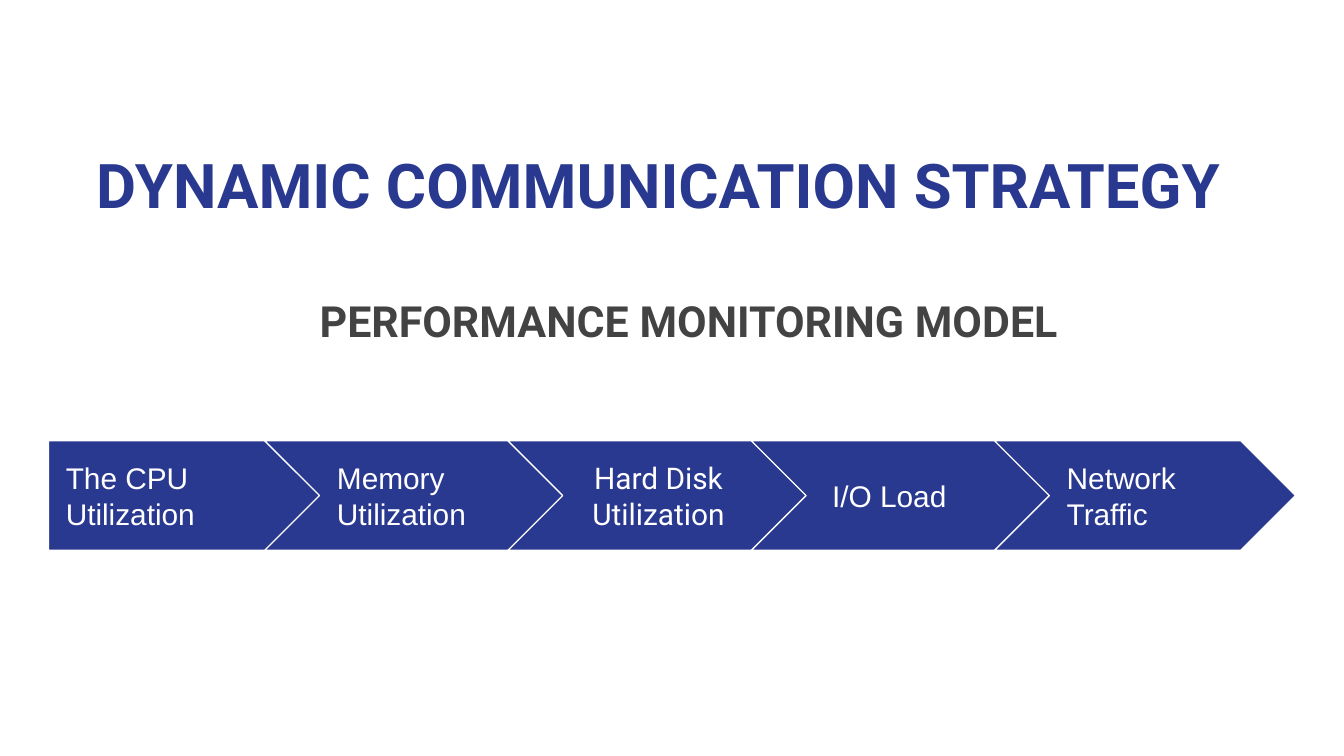
import dataclasses

import pptx
import pptx.dml.color
import pptx.enum.shapes
import pptx.enum.text
import pptx.slide
import pptx.text.text
import pptx.util

EMU_PER_PX = 4572  # 200 px to the inch
SLIDE_WIDTH, SLIDE_HEIGHT = 2000, 1125
BLUE, GRAY, WHITE = "2A3990", "434343", "FFFFFF"
LEFT = pptx.enum.text.PP_ALIGN.LEFT
CENTER = pptx.enum.text.PP_ALIGN.CENTER
PENTAGON = pptx.enum.shapes.MSO_SHAPE.PENTAGON
CHEVRON = pptx.enum.shapes.MSO_SHAPE.CHEVRON

STEP_TOP, STEP_HEIGHT = 656, 163
FIRST_LEFT, FIRST_WIDTH = 72, 410
CHEVRON_LEFT, CHEVRON_WIDTH, CHEVRON_PITCH = 394, 448, 362
TEXT_INSET, STEP_INSET = 20, 26


@dataclasses.dataclass(frozen=True)
class Step:
    label: str
    font: str = "Arial"
    align: pptx.enum.text.PP_ALIGN = LEFT
    inset_left: int = STEP_INSET


@dataclasses.dataclass(frozen=True)
class TextStyle:
    font: str
    size: int
    color: str
    bold: bool = False
    align: pptx.enum.text.PP_ALIGN = LEFT


STEPS = [
    Step("The CPU Utilization"),
    Step("Memory Utilization"),
    Step("Hard Disk Utilization", font="Roboto", align=CENTER),
    Step("I/O Load", inset_left=39),
    Step("Network Traffic"),
]


def px(length: int) -> pptx.util.Emu:
    return pptx.util.Emu(length * EMU_PER_PX)


def rgb(color: str) -> pptx.dml.color.RGBColor:
    return pptx.dml.color.RGBColor.from_string(color)


def write_text(frame: pptx.text.text.TextFrame, text: str, style: TextStyle,
               inset: int) -> None:
    frame.word_wrap = True
    frame.auto_size = pptx.enum.text.MSO_AUTO_SIZE.NONE
    frame.vertical_anchor = pptx.enum.text.MSO_ANCHOR.MIDDLE
    frame.margin_left = frame.margin_right = px(inset)
    frame.margin_top = frame.margin_bottom = px(inset)
    paragraph = frame.paragraphs[0]
    paragraph.alignment = style.align
    paragraph.line_spacing = 1.0
    run = paragraph.add_run()
    run.text = text
    run.font.name = style.font
    run.font.size = pptx.util.Pt(style.size)
    run.font.bold = style.bold
    run.font.color.rgb = rgb(style.color)


def draw_step(slide: pptx.slide.Slide, index: int, step: Step) -> None:
    if index == 0:
        kind, left, width = PENTAGON, FIRST_LEFT, FIRST_WIDTH
    else:
        kind, width = CHEVRON, CHEVRON_WIDTH
        left = CHEVRON_LEFT + (index - 1) * CHEVRON_PITCH
    shape = slide.shapes.add_shape(
        kind, px(left), px(STEP_TOP), px(width), px(STEP_HEIGHT))
    shape.adjustments[0] = 0.5
    shape.shadow.inherit = False
    shape.fill.solid()
    shape.fill.fore_color.rgb = rgb(BLUE)
    shape.line.color.rgb = rgb(WHITE)
    shape.line.width = pptx.util.Pt(0.75)
    style = TextStyle(step.font, 16, WHITE, align=step.align)
    write_text(shape.text_frame, step.label, style, STEP_INSET)
    shape.text_frame.margin_left = px(step.inset_left)


def main() -> None:
    presentation = pptx.Presentation()
    presentation.slide_width = px(SLIDE_WIDTH)
    presentation.slide_height = px(SLIDE_HEIGHT)
    slide = presentation.slides.add_slide(presentation.slide_layouts[5])

    # Title
    title = slide.shapes.title
    title.left, title.top = px(56), px(194)
    title.width, title.height = px(1848), px(160)
    write_text(title.text_frame, "DYNAMIC COMMUNICATION STRATEGY",
               TextStyle("Roboto", 33, BLUE, True, CENTER), TEXT_INSET)

    # Subtitle
    subtitle = slide.shapes.add_textbox(px(456), px(427), px(1448), px(100))
    write_text(subtitle.text_frame, "PERFORMANCE MONITORING MODEL",
               TextStyle("Roboto", 23, GRAY, True), TEXT_INSET)

    # Process chain
    for index, step in enumerate(STEPS):
        draw_step(slide, index, step)

    presentation.save("out.pptx")


if __name__ == "__main__":
    main()
